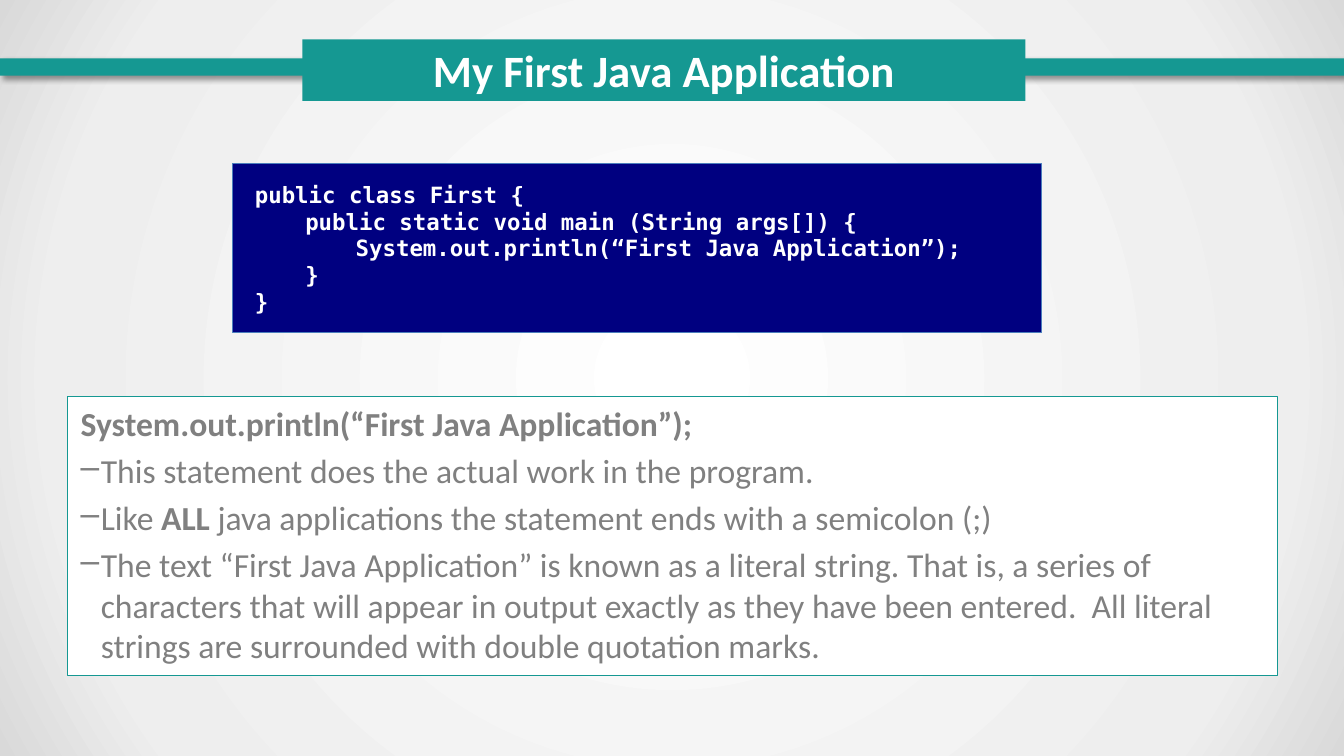
from lxml import etree
from pptx import Presentation
from pptx.dml.color import RGBColor as RGB
from pptx.enum.shapes import MSO_SHAPE as SHAPE
from pptx.enum.text import MSO_ANCHOR as ANCHOR, PP_ALIGN as ALIGN
from pptx.oxml import parse_xml
from pptx.oxml.ns import nsdecls, qn
from pptx.util import Inches, Pt

COLORS = {
    "teal": "159892",
    "white": "FFFFFF",
    "gray": "808080",
    "navy": "000080",
    "blue": "4B7EBC",
    "black": "000000",
}
BACKDROP = [(0, "FFFFFF"), (81, "EEEEEE"), (100, "D9D9D9")]


class Deck:
    font = "Calibri"
    code_font = "DejaVu Sans Mono"

    def __init__(self, prs):
        self.slide = prs.slides.add_slide(prs.slide_layouts[6])

    def color(self, name):
        return RGB.from_string(COLORS[name])

    def background(self, stops):
        gs = "".join(
            f'<a:gs pos="{pos * 1000}"><a:srgbClr val="{rgb}"/></a:gs>'
            for pos, rgb in stops
        )
        bg = parse_xml(
            f'<p:bg {nsdecls("p", "a")}><p:bgPr><a:gradFill rotWithShape="1">'
            f'<a:gsLst>{gs}</a:gsLst><a:path path="circle">'
            '<a:fillToRect l="50000" t="50000" r="50000" b="50000"/></a:path>'
            '</a:gradFill><a:effectLst/></p:bgPr></p:bg>'
        )
        self.slide.element.cSld.insert(0, bg)

    def box(self, x, y, w, h, fill, line=None):
        sp = self.slide.shapes.add_shape(
            SHAPE.RECTANGLE, Inches(x), Inches(y), Inches(w), Inches(h)
        )
        sp.shadow.inherit = False
        sp.fill.solid()
        sp.fill.fore_color.rgb = self.color(fill)
        if line:
            sp.line.color.rgb = self.color(line)
            sp.line.width = Pt(0.75)
        else:
            sp.line.fill.background()
        sp.text_frame.word_wrap = True
        return sp

    def bar(self, x, w):
        sp = self.box(x, 0.58, w, 0.17, "teal")
        effects = sp.element.spPr.find(qn("a:effectLst"))
        effects.append(parse_xml(
            f'<a:outerShdw {nsdecls("a")} blurRad="{Pt(4)}" dist="{Pt(3)}" '
            f'dir="{45 * 60000}" rotWithShape="0">'
            f'<a:srgbClr val="{COLORS["black"]}"><a:alpha val="40000"/></a:srgbClr>'
            '</a:outerShdw>'
        ))

    def style(self, r, size, color, bold=True, font=None):
        r.font.name = font or self.font
        r.font.size = Pt(size)
        r.font.bold = bold
        r.font.color.rgb = self.color(color)

    def title(self, text):
        sp = self.box(3, 0.39, 7.17, 0.61, "teal")
        tf = sp.text_frame
        tf.vertical_anchor = ANCHOR.MIDDLE
        p = tf.paragraphs[0]
        p.text = text
        p.alignment = ALIGN.CENTER
        self.style(p.runs[0], 32, "white")

    def body(self, heading, bullets):
        tf = self.box(0.67, 3.93, 12, 2.77, "white", "teal").text_frame
        tf.vertical_anchor = ANCHOR.TOP
        tf.margin_left = tf.margin_right = Inches(0.13)
        tf.margin_top = tf.margin_bottom = Inches(0.07)
        p = tf.paragraphs[0]
        p.text = heading
        p.alignment = ALIGN.LEFT
        self.style(p.runs[0], 24, "gray")
        for parts in bullets:
            p = tf.add_paragraph()
            p.level = 1
            p.alignment = ALIGN.LEFT
            p.space_before = Pt(4.8)
            pPr = p._p.get_or_add_pPr()
            pPr.set("marL", str(Inches(0.2)))
            pPr.set("indent", str(-Inches(0.2)))
            etree.SubElement(pPr, qn("a:buChar")).set("char", "–")
            for text, bold in parts:
                r = p.add_run()
                r.text = text
                self.style(r, 24, "gray", bold)

    def code(self, blocks):
        tf = self.box(2.31, 1.62, 8.02, 1.68, "navy", "blue").text_frame
        tf.vertical_anchor = ANCHOR.MIDDLE
        for i, block in enumerate(blocks):
            p = tf.add_paragraph() if i else tf.paragraphs[0]
            p.text = block
            p.alignment = ALIGN.LEFT
            p._p.get_or_add_pPr().set("marL", str(Inches(0.12)))
            for r in p.runs:
                self.style(r, 16, "white", font=self.code_font)


def main():
    prs = Presentation()
    prs.slide_width, prs.slide_height = Inches(13.33), Inches(7.5)
    deck = Deck(prs)
    deck.background(BACKDROP)
    deck.bar(0, 5.36)
    deck.bar(7.95, 5.38)
    deck.title("My First Java Application")
    deck.body("System.out.println(“First Java Application”);", [
        [("This statement does the actual work in the program.", False)],
        [("Like ", False), ("ALL ", True),
         ("java applications the statement ends with a semicolon (;)", False)],
        [("The text “First Java Application” is known as a literal string. "
          "That is, a series of characters that will appear in output exactly "
          "as they have been entered.  All literal strings are surrounded "
          "with double quotation marks.", False)],
    ])
    deck.code([
        "public class First {\n"
        "\tpublic static void main (String args[]) {\n"
        "\t\tSystem.out.println(“First Java Application”);",
        "\t}\n}",
    ])
    prs.save("out.pptx")


if __name__ == "__main__":
    main()
